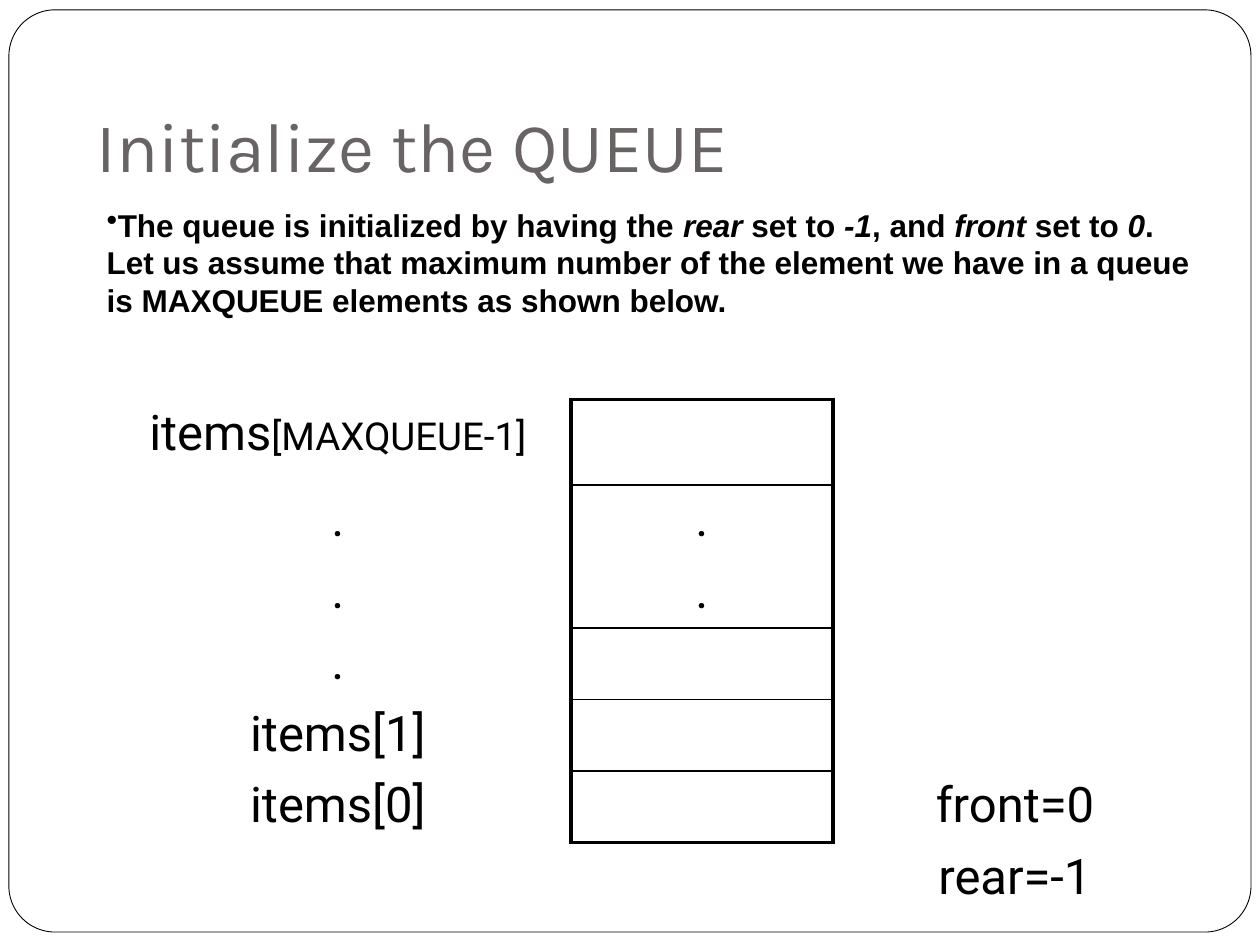
from dataclasses import dataclass

from lxml.etree import SubElement
from pptx import Presentation
from pptx.dml.color import RGBColor
from pptx.enum.shapes import MSO_SHAPE
from pptx.enum.text import MSO_ANCHOR, PP_ALIGN
from pptx.oxml.ns import qn
from pptx.util import Cm, Pt

COLORS = {"ink": "000000", "paper": "FFFFFF", "title": "696464"}
THICK, THIN = 2.25, 1.0


@dataclass(frozen=True)
class Span:
    text: str
    size: float
    font: str = "Roboto"
    color: str = "ink"
    bold: bool = False
    italic: bool = False


@dataclass(frozen=True)
class QueueRow:
    label: tuple = ()
    slot: tuple = ()
    state: tuple = ()
    top: float = 0
    bottom: float = 0
    framed: bool = True


def rgb(name: str) -> RGBColor:
    return RGBColor.from_string(COLORS[name])


def write_spans(paragraph, spans) -> None:
    for span in spans:
        run = paragraph.add_run()
        run.text = span.text
        font = run.font
        font.size = Pt(span.size)
        font.name = span.font
        font.bold = span.bold
        font.italic = span.italic
        font.color.rgb = rgb(span.color)


def add_text(slide, left: float, top: float, width: float, height: float, spans):
    box = slide.shapes.add_textbox(Cm(left), Cm(top), Cm(width), Cm(height))
    box.text_frame.word_wrap = True
    write_spans(box.text_frame.paragraphs[0], spans)
    return box.text_frame


def set_borders(cell, left: float, right: float, top: float, bottom: float) -> None:
    properties = cell._tc.get_or_add_tcPr()
    for side, width in zip("LRTB", (left, right, top, bottom)):
        line = SubElement(properties, qn(f"a:ln{side}"), w=str(int(Pt(width))))
        if width:
            fill = SubElement(line, qn("a:solidFill"))
            SubElement(fill, qn("a:srgbClr"), val=COLORS["ink"])
        else:
            SubElement(line, qn("a:noFill"))


def fill_cell(cell, spans, borders) -> None:
    set_borders(cell, *borders)
    cell.fill.background()
    paragraph = cell.text_frame.paragraphs[0]
    paragraph.alignment = PP_ALIGN.CENTER
    write_spans(paragraph, spans)


def add_queue(slide, rows) -> None:
    widths = (9.4, 5.28, 7.34)
    heights = [1.73] + [1.43] * (len(rows) - 1)
    table = slide.shapes.add_table(
        len(rows), len(widths), Cm(2.11), Cm(8.05), Cm(sum(widths)), Cm(sum(heights))
    ).table
    table.first_row = False
    table.horz_banding = False
    for column, width in zip(table.columns, widths):
        column.width = Cm(width)
    for index, (row, height) in enumerate(zip(rows, heights)):
        table.rows[index].height = Cm(height)
        side = THICK if row.framed else 0
        fill_cell(table.cell(index, 0), row.label, (0, side, 0, 0))
        fill_cell(table.cell(index, 1), row.slot, (side, side, row.top, row.bottom))
        fill_cell(table.cell(index, 2), row.state, (side, 0, 0, 0))


def add_frame(slide) -> None:
    frame = slide.shapes.add_shape(
        MSO_SHAPE.ROUNDED_RECTANGLE, Cm(0.18), Cm(0.2), Cm(25.04), Cm(18.59)
    )
    frame.adjustments[0] = 0.05
    frame.shadow.inherit = False
    frame.fill.solid()
    frame.fill.fore_color.rgb = rgb("paper")
    frame.line.color.rgb = rgb("ink")
    frame.line.width = Pt(0.5)


def entry(text: str) -> Span:
    return Span(text, 28)


def prose(text: str, italic: bool = False) -> Span:
    return Span(text, 18, "Arial", bold=True, italic=italic)


def main() -> None:
    deck = Presentation()
    deck.slide_width, deck.slide_height = Cm(25.4), Cm(19.05)
    slide = deck.slides.add_slide(deck.slide_layouts[6])
    add_frame(slide)

    title = add_text(
        slide, 1.7, 0.84, 21.59, 3.17,
        [Span("Initialize the QUEUE", 40, "Karla", "title")],
    )
    title.vertical_anchor = MSO_ANCHOR.BOTTOM
    title.margin_bottom = Cm(0.25)

    dot = (entry("."),)
    add_queue(slide, [
        QueueRow((entry("items"), Span("[MAXQUEUE-1]", 22)), top=THICK, bottom=THIN),
        QueueRow(dot, dot, top=THIN),
        QueueRow(dot, dot, bottom=THIN),
        QueueRow(dot, top=THIN, bottom=THIN),
        QueueRow((entry("items[1]"),), top=THIN, bottom=THIN),
        QueueRow((entry("items[0]"),), state=(entry("front=0"),), top=THIN, bottom=THICK),
        QueueRow(state=(entry("rear=-1"),), top=THICK, framed=False),
    ])

    explanation = add_text(slide, 1.9, 4.02, 22.43, 2.54, [
        prose("The queue is initialized by having the "),
        prose("rear ", True),
        prose("set to "),
        prose("-1", True),
        prose(", and "),
        prose("front ", True),
        prose("set to "),
        prose("0", True),
        prose(
            ". Let us assume that maximum number of the element we have in a queue "
            "is MAXQUEUE elements as shown below."
        ),
    ])
    bullet_paragraph = explanation.paragraphs[0]
    bullet_paragraph.space_before = Pt(3.6)
    SubElement(bullet_paragraph._p.get_or_add_pPr(), qn("a:buChar"), char="•")

    deck.save("out.pptx")


if __name__ == "__main__":
    main()
